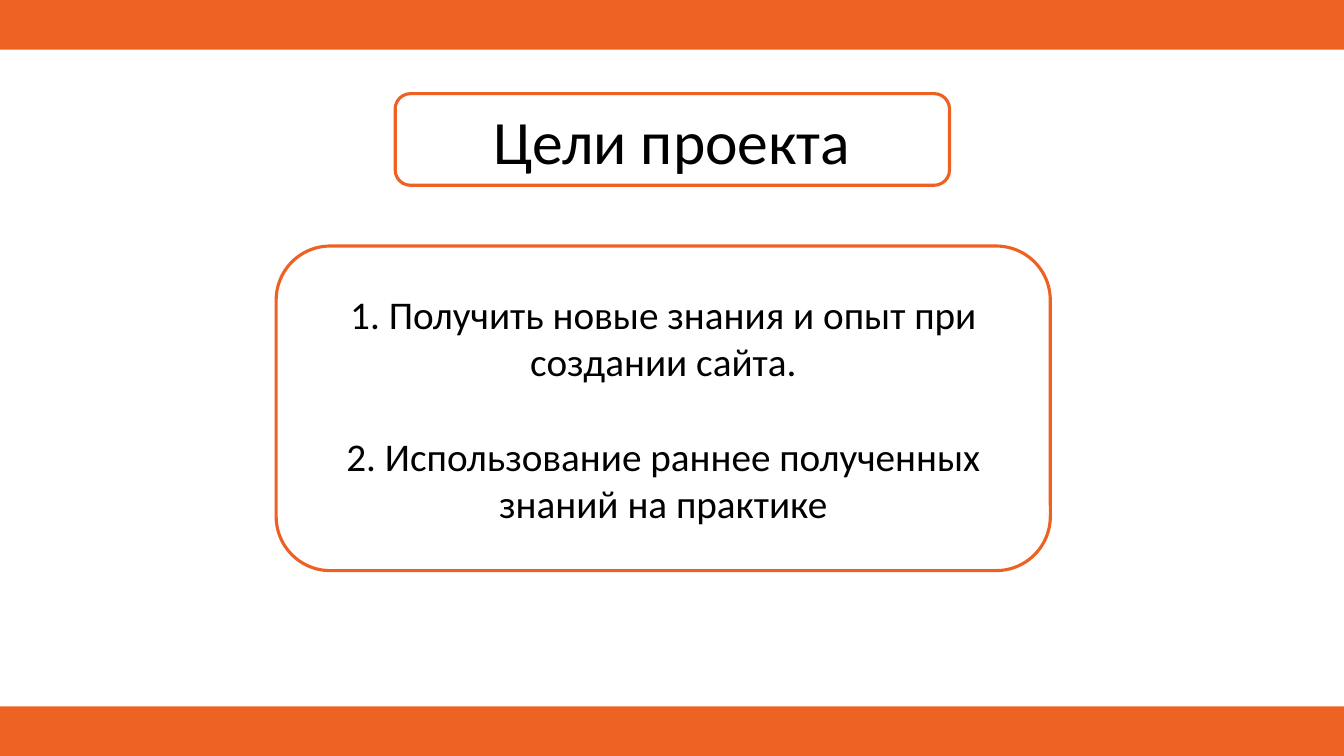
from pptx import Presentation
from pptx import util as u
from pptx.dml import color
from pptx.enum import shapes, text

ORANGE, WHITE, BLACK = "ED6223", "FFFFFF", "000000"
FONT = "Calibri"
WIDTH, HEIGHT = u.Cm(33.87), u.Cm(19.05)
BAND_HEIGHT = u.Cm(1.25)

TITLE = "Цели проекта"
GOALS = [
    "1. Получить новые знания и опыт при создании сайта.",
    "2. Использование раннее полученных знаний на практике",
]


def rgb(value):
    return color.RGBColor.from_string(value)


def add_band(slide, top):
    """Full-width orange band."""
    band = slide.shapes.add_shape(
        shapes.MSO_SHAPE.RECTANGLE, 0, top, WIDTH, BAND_HEIGHT)
    band.shadow.inherit = False
    band.fill.solid()
    band.fill.fore_color.rgb = rgb(ORANGE)
    band.line.fill.background()


def add_frame(slide, box):
    """Rounded outline in the given box."""
    frame = slide.shapes.add_shape(shapes.MSO_SHAPE.ROUNDED_RECTANGLE, *box)
    frame.shadow.inherit = False
    frame.fill.background()
    frame.line.color.rgb = rgb(ORANGE)
    frame.line.width = u.Pt(2.25)
    return frame


def format_text(text_frame, size):
    text_frame.word_wrap = True
    text_frame.auto_size = text.MSO_AUTO_SIZE.NONE
    text_frame.vertical_anchor = text.MSO_ANCHOR.MIDDLE
    for paragraph in text_frame.paragraphs:
        paragraph.alignment = text.PP_ALIGN.CENTER
        for run in paragraph.runs:
            run.font.name = FONT
            run.font.size = u.Pt(size)
            run.font.color.rgb = rgb(BLACK)


def add_title(slide, box):
    """Framed slide title."""
    add_frame(slide, box)
    title = slide.shapes.title
    title.left, title.top, title.width, title.height = box
    title.text_frame.text = TITLE
    format_text(title.text_frame, 44)


def add_goals(slide, box):
    """Framed list of goals, one line apart."""
    text_frame = add_frame(slide, box).text_frame
    text_frame.text = "\n".join(GOALS)
    format_text(text_frame, 28)
    for paragraph in text_frame.paragraphs[1:]:
        paragraph.space_before = u.Pt(34)


def main():
    presentation = Presentation()
    presentation.slide_width, presentation.slide_height = WIDTH, HEIGHT
    slide = presentation.slides.add_slide(presentation.slide_layouts[5])
    slide.background.fill.solid()
    slide.background.fill.fore_color.rgb = rgb(WHITE)

    # Bands along the top and bottom edges
    for top in (0, HEIGHT - BAND_HEIGHT):
        add_band(slide, top)

    # Title and goals
    add_title(slide, (u.Cm(9.96), u.Cm(2.36), u.Cm(13.97), u.Cm(2.31)))
    add_goals(slide, (u.Cm(6.96), u.Cm(6.2), u.Cm(19.51), u.Cm(8.18)))

    presentation.save("out.pptx")


if __name__ == "__main__":
    main()
